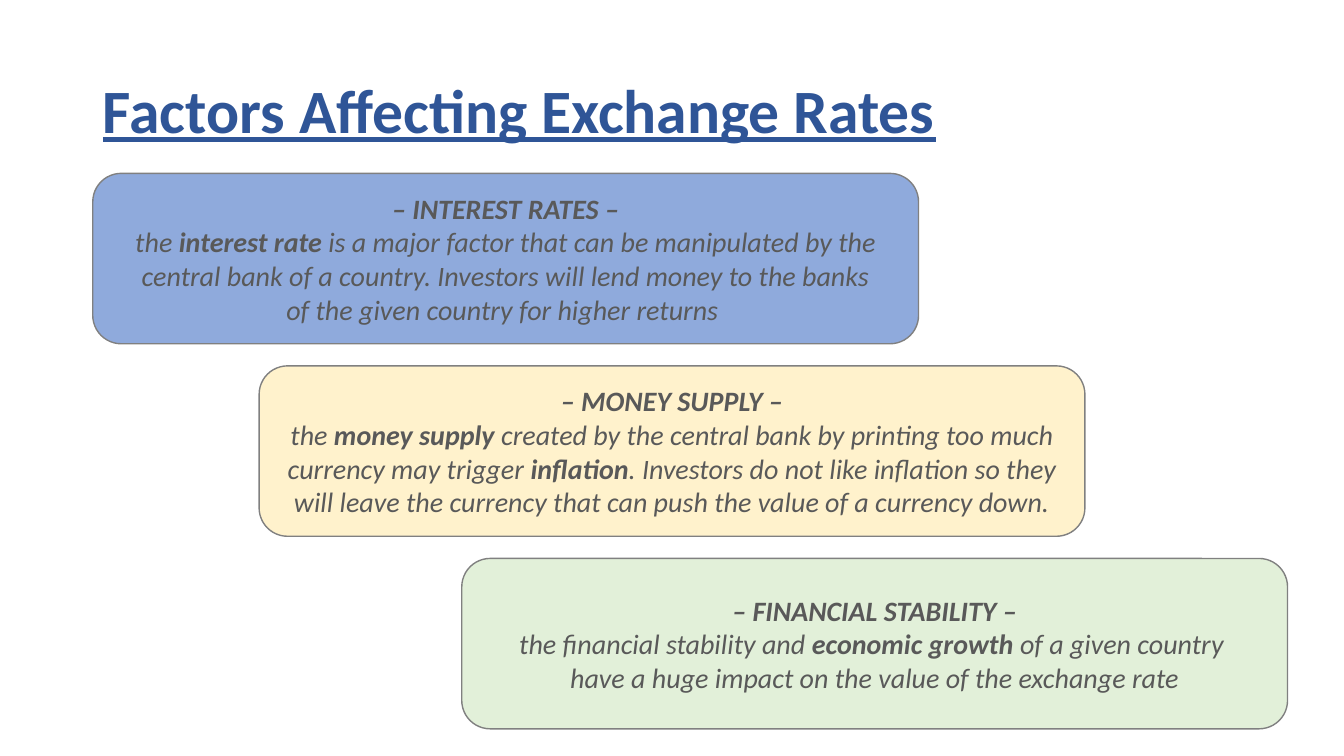
from pptx import Presentation
from pptx.dml.color import RGBColor
from pptx.enum.shapes import MSO_SHAPE
from pptx.enum.text import MSO_ANCHOR, PP_ALIGN
from pptx.util import Inches, Pt

ROUND = MSO_SHAPE.ROUNDED_RECTANGLE
MIDDLE = MSO_ANCHOR.MIDDLE
LEFT, CENTER = PP_ALIGN.LEFT, PP_ALIGN.CENTER
FONT = "Calibri"
COLORS = {
    "title": "2F5597", "text": "595959", "line": "808080",
    "blue": "8FAADC", "cream": "FFF2CC", "green": "E2F0D9",
}
TOP, STEP = 1.72, 1.91
WIDTH, HEIGHT = 8.19, 1.69

# Each card: left edge, fill, heading, then lines of (text, bold) runs.
CARDS = [
    (0.92, "blue", "– INTEREST RATES –", [
        [("the ", False), ("interest rate", True),
         (" is a major factor that can be manipulated by the", False)],
        [("central bank of a country. Investors will lend money to the banks", False)],
        [("of the given country for higher returns ", False)],
    ]),
    (2.57, "cream", "– MONEY SUPPLY –", [
        [("the ", False), ("money supply ", True),
         ("created by the central bank by printing too much currency may trigger ", False),
         ("inflation", True), (". Investors do not like inflation so they", False)],
        [("will leave the currency that can push the value of a currency down.", False)],
    ]),
    (4.58, "green", "– FINANCIAL STABILITY –", [
        [("the financial stability and ", False), ("economic growth ", True),
         ("of a given country ", False)],
        [("have a huge impact on the value of the exchange rate", False)],
    ]),
]


def color(name):
    return RGBColor.from_string(COLORS[name])


def add_run(para, text, size, tint, bold):
    run = para.add_run()
    run.text = text
    font = run.font
    font.name, font.size, font.bold = FONT, Pt(size), bold
    font.color.rgb = color(tint)
    return font


def set_title(slide, text):
    title = slide.shapes.title
    title.left, title.top = Inches(0.92), Inches(0.4)
    title.width, title.height = Inches(11.5), Inches(1.45)
    frame = title.text_frame
    frame.vertical_anchor = MIDDLE
    para = frame.paragraphs[0]
    para.alignment, para.line_spacing = LEFT, 0.9
    add_run(para, text, 44, "title", True).underline = True


def add_card(slide, left, top, fill, head, lines):
    card = slide.shapes.add_shape(
        ROUND, Inches(left), Inches(top), Inches(WIDTH), Inches(HEIGHT))
    card.shadow.inherit = False
    card.fill.solid()
    card.fill.fore_color.rgb = color(fill)
    card.line.color.rgb = color("line")
    card.line.width = Pt(1)
    frame = card.text_frame
    frame.word_wrap = True
    frame.vertical_anchor = MIDDLE
    for i, runs in enumerate([[(head, True)], *lines]):
        para = frame.add_paragraph() if i else frame.paragraphs[0]
        para.alignment = CENTER
        for text, bold in runs:
            add_run(para, text, 20, "text", bold).italic = True


def main():
    deck = Presentation()
    deck.slide_width, deck.slide_height = Inches(13.33), Inches(7.5)
    slide = deck.slides.add_slide(deck.slide_layouts[5])
    set_title(slide, "Factors Affecting Exchange Rates")
    for i, (left, fill, head, lines) in enumerate(CARDS):
        add_card(slide, left, TOP + i * STEP, fill, head, lines)
    deck.save("out.pptx")


if __name__ == "__main__":
    main()
